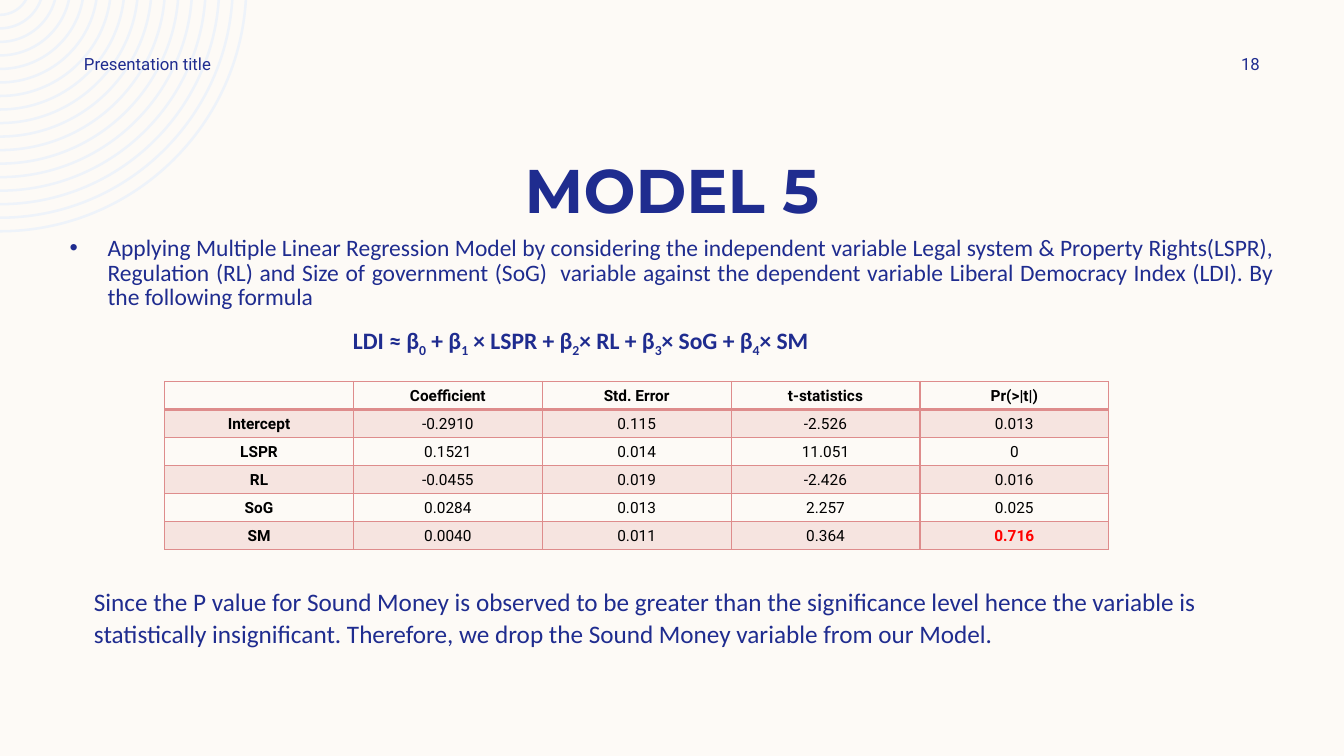
from math import asin, cos, pi, sin, tan

from lxml.etree import SubElement
from pptx import Presentation
from pptx.dml.color import RGBColor
from pptx.enum.text import MSO_ANCHOR as Anchor, MSO_AUTO_SIZE as AutoSize, PP_ALIGN as Align
from pptx.oxml import parse_xml
from pptx.oxml.ns import nsdecls, qn
from pptx.util import Inches, Pt

NAVY = RGBColor(0x1F, 0x2C, 0x8F)
CREAM = RGBColor(0xFD, 0xFA, 0xF6)
PALE_BLUE = RGBColor(0xEE, 0xF3, 0xFA)
ROSE = RGBColor(0xDE, 0x8C, 0x8C)
BLACK = RGBColor(0, 0, 0)
RED = RGBColor(0xFF, 0, 0)

COLUMNS, ROWS = 160, 90
CELL = Inches(7.5) / ROWS

INTRO = ("Applying Multiple Linear Regression Model by considering the independent variable "
         "Legal system & Property Rights(LSPR), Regulation (RL) and Size of government (SoG)  "
         "variable against the dependent variable Liberal Democracy Index (LDI). "
         "By the following formula")
# Text and subscript in turn
FORMULA = ["LDI ≈ β", "0", " + β", "1", " × LSPR + β", "2", "× RL + β", "3",
           "× SoG + β", "4", "× SM"]
CONCLUSION = ("Since the P value for Sound Money is observed to be greater than the "
              "significance level hence the variable is statistically insignificant. "
              "Therefore, we drop the Sound Money variable from our Model.")
ESTIMATES = [
    ["", "Coefficient", "Std. Error", "t-statistics", "Pr(>|t|)"],
    ["Intercept", "-0.2910", "0.115", "-2.526", "0.013"],
    ["LSPR", "0.1521", "0.014", "11.051", "0"],
    ["RL", "-0.0455", "0.019", "-2.426", "0.016"],
    ["SoG", "0.0284", "0.013", "2.257", "0.025"],
    ["SM", "0.0040", "0.011", "0.364", "0.716"],
]
INSIGNIFICANT = "0.716"


def units(count):
    return round(count * CELL)


def arc(radius, center_row):
    """Bezier points from the top edge of the slide to its left edge."""
    start = asin(-center_row / radius)
    reach = 4 / 3 * tan((pi / 2 - start) / 4)
    bottom = center_row + radius
    points = [
        (radius * cos(start), 0),
        (radius * (cos(start) - reach * sin(start)), radius * reach * cos(start)),
        (radius * reach, bottom),
        (0, bottom),
    ]
    return [(units(x), units(y)) for x, y in points]


class ModelSlide:
    """Places elements on a grid of 160 columns and 90 rows."""

    def __init__(self, deck):
        self.slide = deck.slides.add_slide(deck.slide_layouts[1])
        background = self.slide.background.fill
        background.solid()
        background.fore_color.rgb = CREAM

    def style(self, paragraph, font, size, color=NAVY, bold=False, align=Align.LEFT):
        paragraph.alignment = align
        for run in paragraph.runs:
            run.font.name, run.font.size = font, Pt(size)
            run.font.bold = bold
            run.font.color.rgb = color

    def place(self, shape, column, row, width, height):
        shape.left, shape.top = units(column), units(row)
        shape.width, shape.height = units(width), units(height)
        shape.text_frame.word_wrap = True
        shape.text_frame.auto_size = AutoSize.NONE
        return shape.text_frame

    def rings(self, count, center_row, smallest, step, thickness):
        builder = self.slide.shapes.build_freeform()
        handles = []
        for index in range(count):
            radius = smallest + index * step
            outer = arc(radius, center_row)
            inner = arc(radius - thickness, center_row)[::-1]
            builder.move_to(*outer[0])
            builder.add_line_segments([outer[3], inner[0], inner[3]], close=True)
            handles += [outer[1:3], None, inner[1:3]]
        arcs = builder.convert_to_shape()
        # Bend the two long sides of every ring
        for side, bend in zip(list(arcs._element.iter(qn("a:lnTo"))), handles):
            if bend:
                curve = parse_xml(f'<a:cubicBezTo {nsdecls("a")}/>')
                for x, y in bend + [(side[0].x, side[0].y)]:
                    point = SubElement(curve, qn("a:pt"))
                    point.set("x", str(x))
                    point.set("y", str(y))
                side.getparent().replace(side, curve)
        arcs.shadow.inherit = False
        arcs.fill.solid()
        arcs.fill.fore_color.rgb = PALE_BLUE
        arcs.line.fill.background()

    def title(self, text, *box):
        frame = self.place(self.slide.shapes.title, *box)
        frame.text = text
        frame.vertical_anchor = Anchor.BOTTOM
        self.style(frame.paragraphs[0], "Montserrat", 44, bold=True, align=Align.CENTER)

    def textbox(self, text, box, font, size, align=Align.LEFT):
        frame = self.place(self.slide.shapes.add_textbox(0, 0, 0, 0), *box)
        frame.text = text
        self.style(frame.paragraphs[0], font, size, align=align)
        return frame

    def header(self, text, box, align):
        frame = self.textbox(text, box, "Roboto", 12, align)
        frame.margin_left = frame.margin_right = 0
        frame.vertical_anchor = Anchor.MIDDLE

    def body(self, intro, formula, *box):
        frame = self.place(self.slide.placeholders[1], *box)
        frame.text = intro
        equation = frame.add_paragraph()
        for index, part in enumerate(formula):
            run = equation.add_run()
            run.text = part
            if index % 2:
                run.font._element.set("baseline", "-25000")
        for paragraph in frame.paragraphs:
            self.style(paragraph, "Calibri", 16.8, bold=paragraph.text != intro,
                       align=Align.JUSTIFY)
            paragraph.line_spacing = 0.87
            paragraph.space_before, paragraph.space_after = Pt(3.6), Pt(8)
        properties = equation._p.get_or_add_pPr()
        properties.set("marL", str(Inches(2.81)))
        properties.set("indent", "0")
        SubElement(properties, qn("a:buNone"))

    def borders(self, cell, bottom):
        properties = cell._tc.get_or_add_tcPr()
        for index, side in enumerate("LRTB"):
            width = Pt(bottom if side == "B" else 1)
            properties.insert(index, parse_xml(
                f'<a:ln{side} {nsdecls("a")} w="{width}"><a:solidFill>'
                f'<a:srgbClr val="{ROSE}"/></a:solidFill></a:ln{side}>'))

    def table(self, rows, column, row, width, height):
        grid = self.slide.shapes.add_table(
            len(rows), len(rows[0]), units(column), units(row),
            units(width), units(height)).table
        grid.first_row = grid.horz_banding = False
        for r, values in enumerate(rows):
            for c, value in enumerate(values):
                self.table_cell(grid.cell(r, c), value, r, c)

    def table_cell(self, cell, value, r, c):
        cell.text = value
        cell.margin_left = cell.margin_right = Inches(0.07)
        cell.margin_top = cell.margin_bottom = 0
        cell.vertical_anchor = Anchor.MIDDLE
        paragraph = cell.text_frame.paragraphs[0]
        alert = value == INSIGNIFICANT
        self.style(paragraph, "Roboto", 11, RED if alert else BLACK,
                   r == 0 or c == 0 or alert, Align.CENTER)
        paragraph.line_spacing = 1.07
        if not value:
            SubElement(paragraph._p, qn("a:endParaRPr")).set("sz", "1100")
        if r % 2:
            cell.fill.solid()
            cell.fill.fore_color.rgb = ROSE
            tint = cell._tc.tcPr.find(".//" + qn("a:srgbClr"))
            SubElement(tint, qn("a:alpha")).set("val", "20000")
        else:
            cell.fill.background()
        self.borders(cell, 2 if r == 0 else 1)


def main():
    deck = Presentation()
    deck.slide_width, deck.slide_height = units(COLUMNS), units(ROWS)
    page = ModelSlide(deck)

    # Corner decoration and running header
    page.rings(count=17, center_row=-1.8, smallest=3.72, step=1.61, thickness=0.3)
    page.header("Presentation title", (10, 6, 42, 3.2), Align.LEFT)
    page.header("18", (137, 6, 13, 3.2), Align.RIGHT)

    # Title, explanation and formula
    page.title("MODEL 5", 10, 9.6, 140, 17.9)
    page.body(INTRO, FORMULA, 7.1, 27.6, 145.7, 16.5)

    # Regression estimates
    page.table(ESTIMATES, 19.6, 45.4, 112.4, 20)

    # Conclusion
    conclusion = page.textbox(CONCLUSION, (10, 69, 136.5, 8.8), "Calibri", 18)
    conclusion.paragraphs[0].line_spacing = 1.06

    deck.save("out.pptx")


if __name__ == "__main__":
    main()
